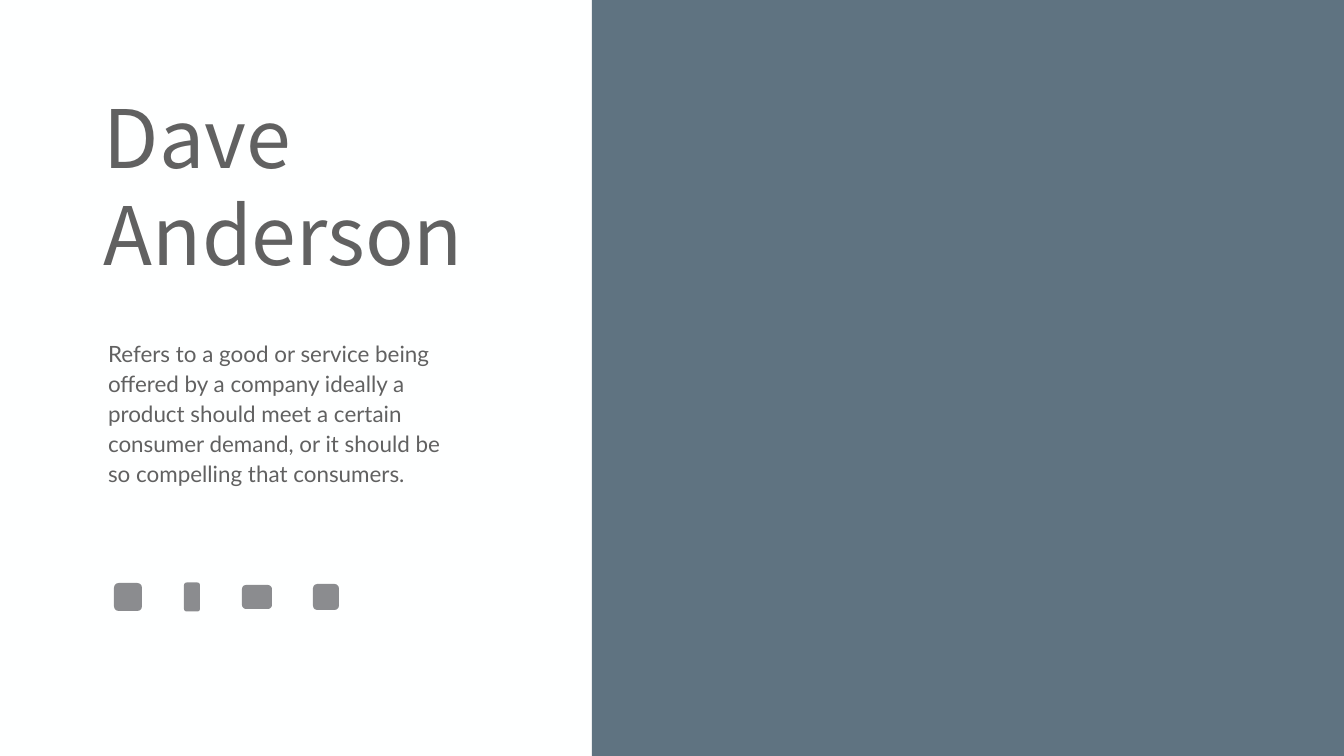
"""Build a profile slide with a name, a short text, contact markers and a colour panel."""
from dataclasses import dataclass

from pptx import Presentation
from pptx import util as u
from pptx.dml.color import RGBColor
from pptx.enum import shapes, text

PX = 914400 / 50.4


def px(length):
    return u.Emu(round(length * PX))


@dataclass(frozen=True)
class Theme:
    background: str = "FEFFFF"
    panel: str = "5F7381"
    ink: str = "616161"
    marker: str = "8B8C8F"
    name_font: str = "Noto Sans CJK SC"
    body_font: str = "Lato"
    name_size: int = 115
    name_leading: int = 138
    body_size: int = 32
    body_leading: int = 43


class ProfileSlide:
    def __init__(self, slide, theme):
        self.slide = slide
        self.theme = theme
        fill = slide.background.fill
        fill.solid()
        fill.fore_color.rgb = RGBColor.from_string(theme.background)

    def block(self, kind, box, color):
        block = self.slide.shapes.add_shape(kind, *map(px, box))
        block.shadow.inherit = False
        block.fill.solid()
        block.fill.fore_color.rgb = RGBColor.from_string(color)
        block.line.fill.background()

    def words(self, box, lines, font, size, leading, insets):
        frame = self.slide.shapes.add_textbox(*map(px, box)).text_frame
        frame.word_wrap = True
        frame.auto_size = text.MSO_AUTO_SIZE.SHAPE_TO_FIT_TEXT
        (frame.margin_left, frame.margin_top,
         frame.margin_right, frame.margin_bottom) = map(px, insets)
        frame.text = "\n".join(lines)
        for paragraph in frame.paragraphs:
            paragraph.line_spacing = u.Pt(leading)
            paragraph.font.name = font
            paragraph.font.size = u.Pt(size)
            paragraph.font.color.rgb = RGBColor.from_string(self.theme.ink)


def main():
    deck = Presentation()
    deck.slide_width, deck.slide_height = px(1344), px(756)
    theme = Theme()
    profile = ProfileSlide(deck.slides.add_slide(deck.slide_layouts[6]), theme)

    profile.block(shapes.MSO_SHAPE.RECTANGLE, (592, 0, 752, 756), theme.panel)
    description = (
        "Refers to a good or service being offered by a company ideally a product "
        "should meet a certain consumer demand, or it should be so compelling "
        "that consumers."
    )
    profile.words((96, 331, 366, 161), [description], theme.body_font,
                  theme.body_size, theme.body_leading, (12, 6, 12, 6))
    profile.words((99, 80, 422, 200), ["Dave", "Anderson"], theme.name_font,
                  theme.name_size, theme.name_leading, (5, 8, 5, 0))

    marker_middle = 597
    for left, width, height in ((114, 28, 28), (184, 16, 29), (242, 30, 24), (313, 26, 26)):
        box = (left, marker_middle - height / 2, width, height)
        profile.block(shapes.MSO_SHAPE.ROUNDED_RECTANGLE, box, theme.marker)

    deck.save("out.pptx")


if __name__ == "__main__":
    main()
